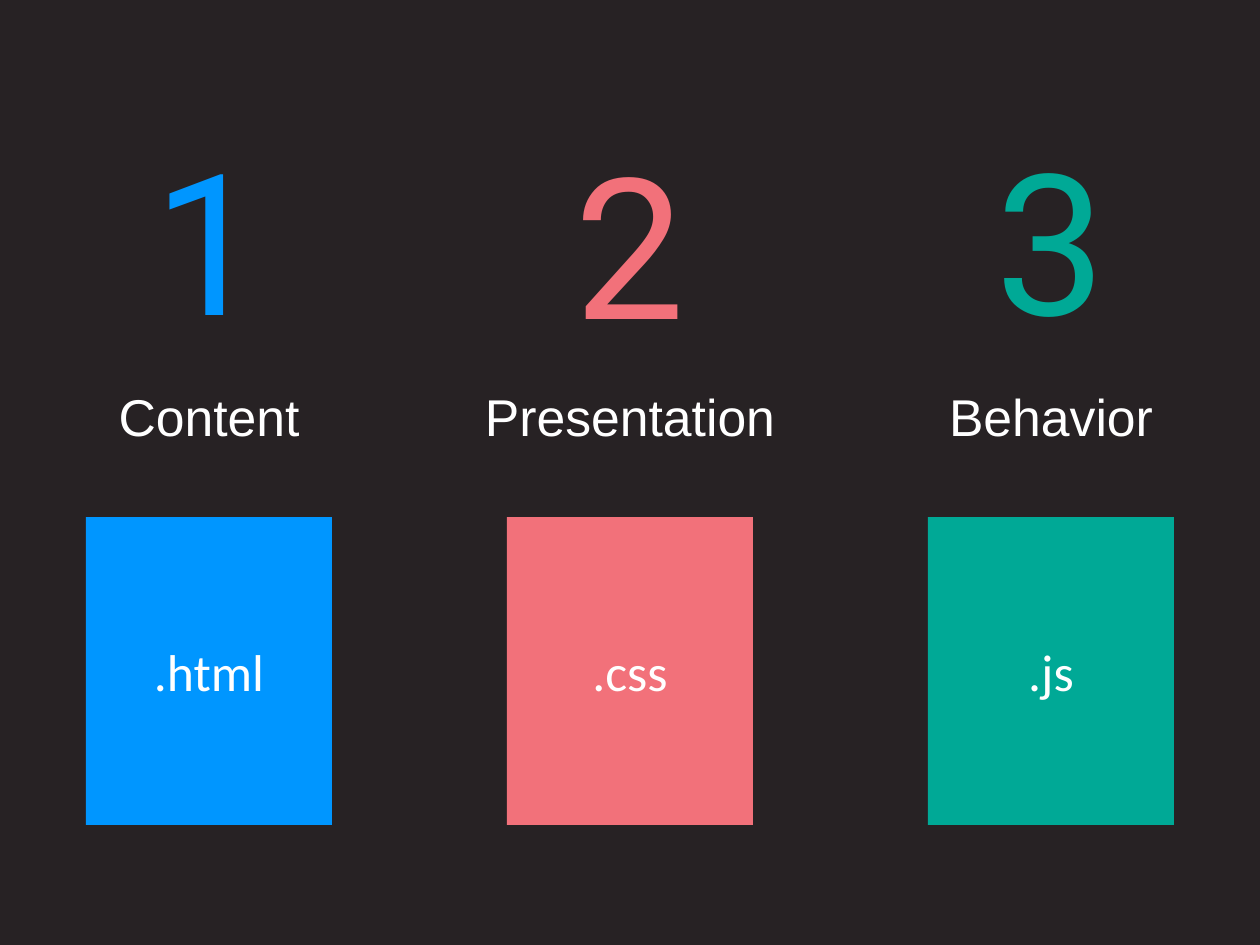
from pptx import Presentation
from pptx.dml.color import RGBColor
from pptx.enum.shapes import MSO_SHAPE
from pptx.enum.text import MSO_ANCHOR, PP_ALIGN
from pptx.util import Pt

RECT = MSO_SHAPE.RECTANGLE
TOP, MIDDLE = MSO_ANCHOR.TOP, MSO_ANCHOR.MIDDLE
CENTER = PP_ALIGN.CENTER
SCALE = 10320  # EMU per px
WIDTH, HEIGHT = 1260, 945
STEP, COLUMN = 421, 418
DARK, WHITE = "272224", "FFFFFF"


def px(*values):
    return [value * SCALE for value in values]


def color(code):
    return RGBColor.from_string(code)


class Deck:
    def __init__(self):
        self.file = Presentation()
        self.file.slide_width, self.file.slide_height = px(WIDTH, HEIGHT)
        self.slide = self.file.slides.add_slide(self.file.slide_layouts[6])
        fill = self.slide.background.fill
        fill.solid()
        fill.fore_color.rgb = color(DARK)

    def label(self, shape, words, face, size, ink, anchor, inset):
        frame = shape.text_frame
        frame.word_wrap = True
        frame.vertical_anchor = anchor
        frame.margin_left, frame.margin_top, frame.margin_right, frame.margin_bottom = px(*[inset] * 4)
        line = frame.paragraphs[0]
        line.text = words
        line.alignment = CENTER
        line.font.name = face
        line.font.size = Pt(size)
        line.font.color.rgb = color(ink)

    def text(self, box, words, face, size, ink, anchor=TOP, inset=0):
        shape = self.slide.shapes.add_textbox(*px(*box))
        self.label(shape, words, face, size, ink, anchor, inset)

    def card(self, box, words, paint):
        shape = self.slide.shapes.add_shape(RECT, *px(*box))
        shape.shadow.inherit = False
        shape.fill.solid()
        shape.fill.fore_color.rgb = color(paint)
        shape.line.fill.background()
        self.label(shape, words, "Calibri", 42, WHITE, MIDDLE, 31)


def main():
    deck = Deck()

    # Layers: name, file type, colour, anchor and inset of the number
    layers = [
        ("Content", ".html", "0096FF", MIDDLE, 0),
        ("Presentation", ".css", "F2717A", TOP, 4),
        ("Behavior", ".js", "00A996", MIDDLE, 0),
    ]
    for index, (name, kind, paint, anchor, inset) in enumerate(layers):
        left = index * STEP
        # Number
        deck.text((left, 119, COLUMN, 236), str(index + 1), "Roboto", 160, paint, anchor, inset)
        # Heading
        deck.text((left, 354, COLUMN, 591), name, "Arial", 42, WHITE, inset=61)
        # File card
        deck.card((left + 86, 517, 246, 308), kind, paint)

    deck.file.save("out.pptx")


if __name__ == "__main__":
    main()
